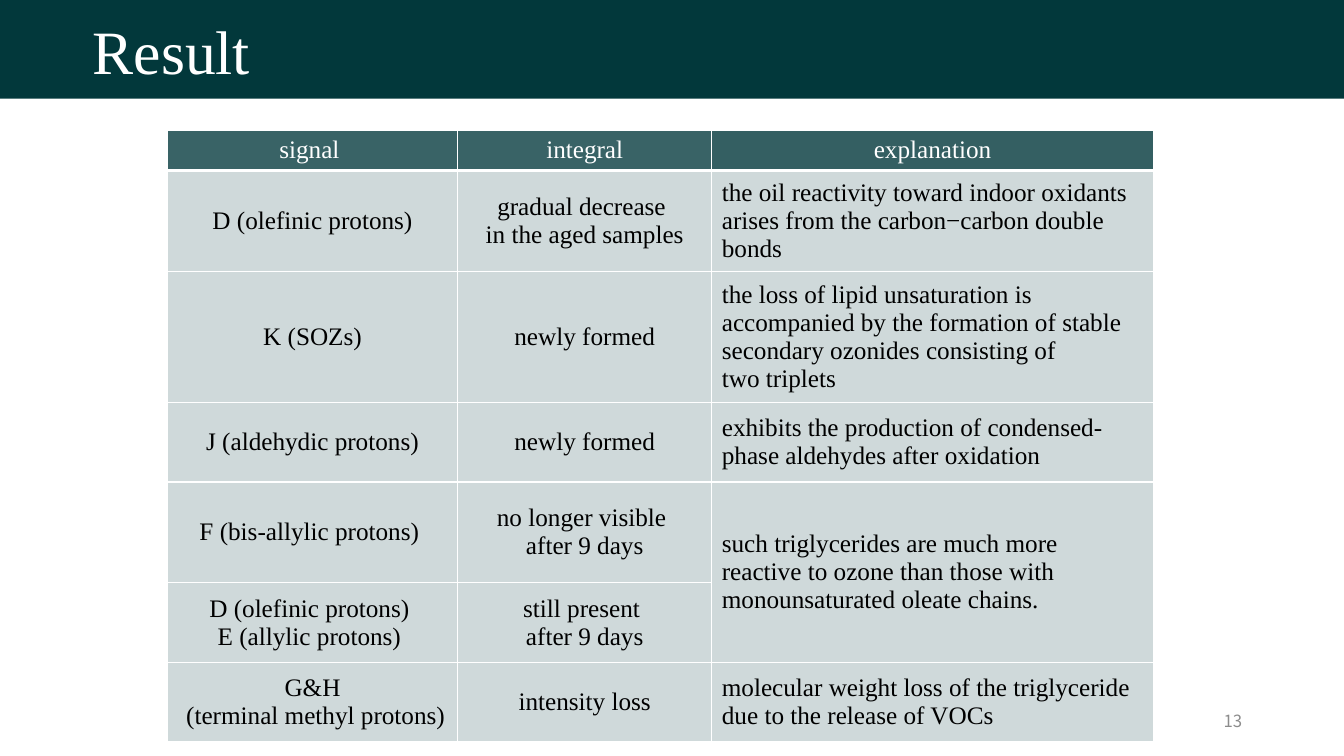
from lxml import etree
from pptx import Presentation
from pptx.dml.color import RGBColor
from pptx.enum.shapes import MSO_SHAPE
from pptx.enum.text import MSO_ANCHOR, PP_ALIGN
from pptx.oxml.ns import qn
from pptx.util import Inches, Pt

LEFT, CENTER, RIGHT = PP_ALIGN.LEFT, PP_ALIGN.CENTER, PP_ALIGN.RIGHT
MIDDLE = MSO_ANCHOR.MIDDLE
SERIF, SANS = "Times New Roman", "Noto Sans CJK SC"
TEAL, WHITE, BLACK, GRAY = "02383B", "FFFFFF", "000000", "8C8C8C"

TITLE = "Result"
PAGE = "13"
ROWS = [
    ("signal ", "integral", "explanation"),
    ("D (olefinic protons)", "gradual decrease \nin the aged samples",
     "the oil reactivity toward indoor oxidants arises from the carbon−carbon double bonds"),
    ("K (SOZs)", "newly formed",
     "the loss of lipid unsaturation is accompanied by the formation of stable "
     "secondary ozonides consisting of\ntwo triplets"),
    ("J (aldehydic protons)", "newly formed",
     "exhibits the production of condensed-phase aldehydes after oxidation"),
    ("F (bis-allylic protons) ", "no longer visible \nafter 9 days",
     "such triglycerides are much more reactive to ozone than those with "
     "monounsaturated oleate chains."),
    ("D (olefinic protons) \nE (allylic protons) ", "still present \nafter 9 days", ""),
    ("G&H\n (terminal methyl protons)", "intensity loss",
     "molecular weight loss of the triglyceride due to the release of VOCs"),
]
COL_WIDTHS = [2.88, 2.52, 4.38]
ROW_HEIGHTS = [0.39, 0.93, 1.21, 0.79, 1, 0.79, 0.79]
HEADER_ALPHAS = [78, 78, 80]
BODY_ALPHA = 19


def rgb(value):
    return RGBColor.from_string(value)


def write(tf, text, size, font, color, align):
    tf.text = text
    tf.word_wrap = True
    for p in tf.paragraphs:
        p.alignment = align
        for r in p.runs:
            r.font.size = Pt(size)
            r.font.name = font
            r.font.bold = False
            r.font.color.rgb = rgb(color)
            for tag in ("a:ea", "a:cs"):
                etree.SubElement(r.font._element, qn(tag), typeface=font)


def style_cell(cell, alpha, top, bottom):
    tc_pr = cell._tc.get_or_add_tcPr()
    for side, width in (("L", 1), ("R", 1), ("T", top), ("B", bottom)):
        ln = etree.SubElement(tc_pr, qn("a:ln" + side), w=str(Pt(width)))
        fill = etree.SubElement(ln, qn("a:solidFill"))
        etree.SubElement(fill, qn("a:srgbClr"), val=WHITE)
    cell.fill.solid()
    cell.fill.fore_color.rgb = rgb(TEAL)
    color = tc_pr.find(qn("a:solidFill")).find(qn("a:srgbClr"))
    etree.SubElement(color, qn("a:alpha"), val=str(alpha * 1000))
    cell.vertical_anchor = MIDDLE


prs = Presentation()
prs.slide_width, prs.slide_height = Inches(13.33), Inches(7.5)
s = prs.slides.add_slide(prs.slide_layouts[6])

banner = s.shapes.add_shape(MSO_SHAPE.RECTANGLE, 0, 0, prs.slide_width, Inches(0.98))
banner.shadow.inherit = False
banner.fill.solid()
banner.fill.fore_color.rgb = rgb(TEAL)
banner.line.fill.background()
tf = banner.text_frame
tf.margin_left = Inches(0.92)
tf.vertical_anchor = MIDDLE
write(tf, TITLE, 44, SERIF, WHITE, LEFT)

page = s.shapes.add_textbox(Inches(9.42), Inches(6.95), Inches(3), Inches(0.4))
page.text_frame.vertical_anchor = MIDDLE
write(page.text_frame, PAGE, 12, SANS, GRAY, RIGHT)

table = s.shapes.add_table(
    len(ROWS), len(COL_WIDTHS), Inches(1.66), Inches(1.29),
    Inches(sum(COL_WIDTHS)), Inches(sum(ROW_HEIGHTS))).table
for column, width in zip(table.columns, COL_WIDTHS):
    column.width = Inches(width)
for row, height in zip(table.rows, ROW_HEIGHTS):
    row.height = Inches(height)

for i, texts in enumerate(ROWS):
    for j, text in enumerate(texts):
        cell = table.cell(i, j)
        header = i == 0
        style_cell(cell, HEADER_ALPHAS[j] if header else BODY_ALPHA,
                   3 if i == 1 else 1, 3 if header else 1)
        write(cell.text_frame, text, 18, SERIF, WHITE if header else BLACK,
              CENTER if header or j < 2 else LEFT)
table.cell(4, 2).merge(table.cell(5, 2))

prs.save("out.pptx")
